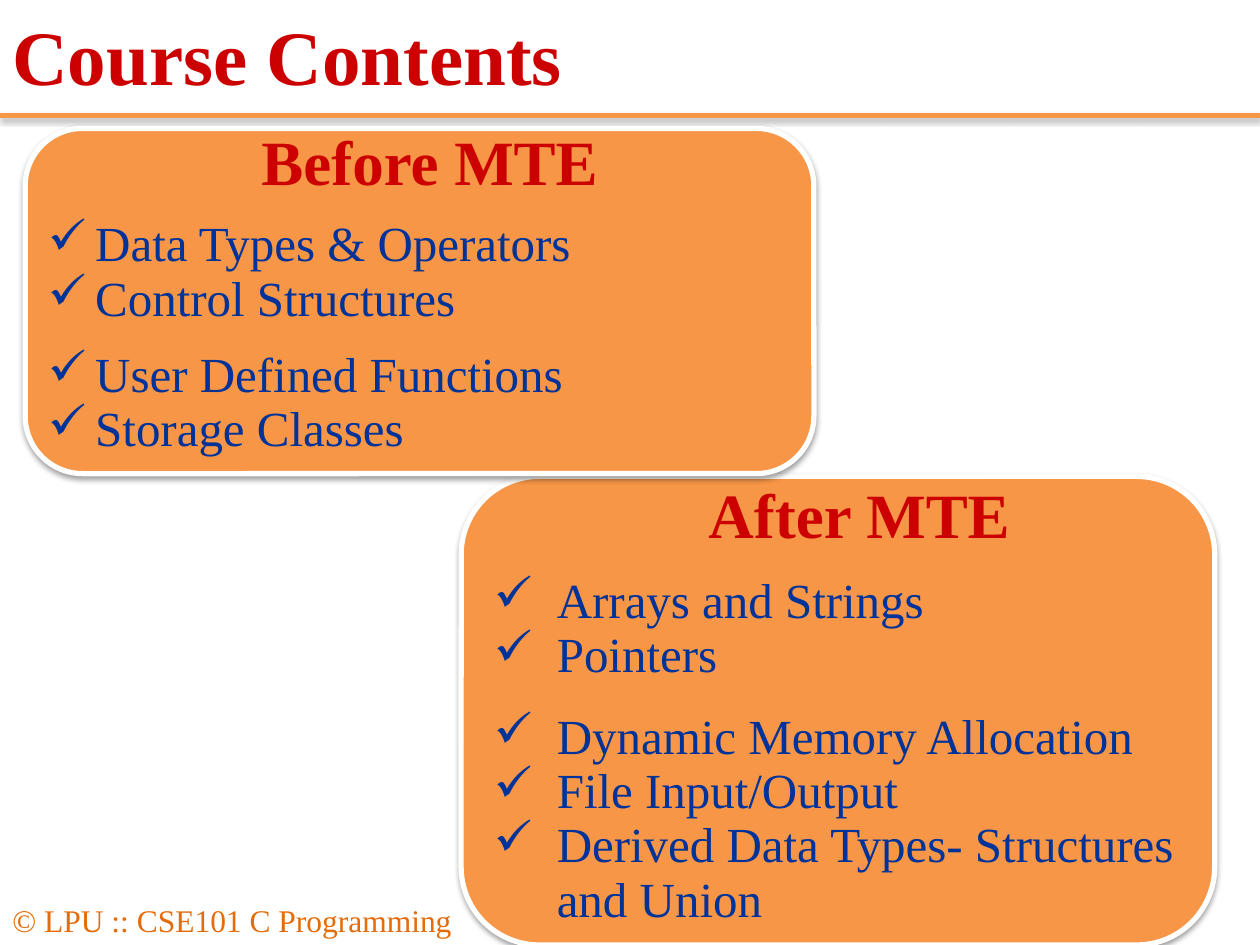
"""Build the course contents slide with its two topic panels."""
from dataclasses import dataclass

import lxml.etree
import pptx
import pptx.dml.color
import pptx.enum.shapes
import pptx.enum.text
import pptx.oxml.ns
import pptx.util

Pt = pptx.util.Pt
ALIGN = pptx.enum.text.PP_ALIGN
ANCHOR = pptx.enum.text.MSO_ANCHOR


@dataclass(frozen=True)
class Theme:
    """Colours, font and type sizes in points."""
    font: str = "Times New Roman"
    heading: str = "CC0000"
    topic: str = "003399"
    panel: str = "F79646"
    edge: str = "FFFFFF"
    footer: str = "E46C0A"
    shadow: str = "000000"
    title_size: int = 44
    heading_size: int = 36
    topic_size: int = 28
    footer_size: int = 18
    line_width: int = 3


def rgb(value):
    """Return a colour object for a hex string."""
    return pptx.dml.color.RGBColor.from_string(value)


def add_child(parent, tag, **attributes):
    """Append a DrawingML element and return it."""
    child = lxml.etree.SubElement(parent, pptx.oxml.ns.qn(tag))
    for name, value in attributes.items():
        child.set(name, str(value))
    return child


def write(paragraph, text, *, font, size, color, bold=False, align=ALIGN.LEFT, hanging=0):
    """Fill a paragraph, with a check mark bullet when it hangs."""
    paragraph.alignment = align
    if hanging:
        properties = paragraph._p.get_or_add_pPr()
        properties.set("marL", str(Pt(hanging)))
        properties.set("indent", str(-Pt(hanging)))
        add_child(properties, "a:buChar", char="✓")
    run = paragraph.add_run()
    run.text = text
    run.font.name = font
    run.font.size = Pt(size)
    run.font.bold = bold
    run.font.color.rgb = rgb(color)


class SlideBuilder:
    """Hold the theme and the current slide."""

    def __init__(self, slide, theme):
        """Keep the slide and its style."""
        self.slide = slide
        self.theme = theme

    def shadow(self, shape, alpha, distance):
        """Give a shape a soft shadow below it."""
        effects = add_child(shape._element.spPr, "a:effectLst")
        outer = add_child(effects, "a:outerShdw", blurRad=Pt(3.1), dist=Pt(distance),
                          dir=90 * 60000, rotWithShape=0)
        color = add_child(outer, "a:srgbClr", val=self.theme.shadow)
        add_child(color, "a:alpha", val=alpha * 1000)

    def text(self, box, text, anchor=ANCHOR.TOP, **style):
        """Add a wrapping text box."""
        shape = self.slide.shapes.add_textbox(*map(Pt, box))
        frame = shape.text_frame
        frame.word_wrap = True
        frame.vertical_anchor = anchor
        write(frame.paragraphs[0], text, font=self.theme.font, **style)

    def rule(self, top, width):
        """Add a full-width horizontal rule."""
        line = self.slide.shapes.add_connector(
            pptx.enum.shapes.MSO_CONNECTOR.STRAIGHT, 0, Pt(top), Pt(width), Pt(top))
        line.line.color.rgb = rgb(self.theme.panel)
        line.line.width = Pt(self.theme.line_width)
        self.shadow(line, alpha=35, distance=1.8)

    def panel(self, box):
        """Add a rounded panel."""
        shape = self.slide.shapes.add_shape(
            pptx.enum.shapes.MSO_SHAPE.ROUNDED_RECTANGLE, *map(Pt, box))
        shape.fill.solid()
        shape.fill.fore_color.rgb = rgb(self.theme.panel)
        shape.line.color.rgb = rgb(self.theme.edge)
        shape.line.width = Pt(self.theme.line_width)
        self.shadow(shape, alpha=38, distance=1.6)

    def topics(self, left, top, width, row_heights, heading, groups, hanging):
        """Add a clear table with a heading row and one row per topic group."""
        theme = self.theme
        frame = self.slide.shapes.add_table(
            len(row_heights), 1, Pt(left), Pt(top), Pt(width), Pt(sum(row_heights)))
        table = frame.table
        table.first_row = table.horz_banding = False
        style_id = table._tbl.tblPr.find(pptx.oxml.ns.qn("a:tableStyleId"))
        style_id.text = "{2D5ABB26-0587-4C30-8999-92F81FD0307C}"
        heading_style = dict(size=theme.heading_size, color=theme.heading,
                             bold=True, align=ALIGN.CENTER)
        topic_style = dict(size=theme.topic_size, color=theme.topic, hanging=hanging)
        rows = [([heading], heading_style)] + [(group, topic_style) for group in groups]
        for index, (lines, style) in enumerate(rows):
            table.rows[index].height = Pt(row_heights[index])
            cell = table.cell(index, 0)
            cell.fill.background()
            for number, line in enumerate(lines):
                text_frame = cell.text_frame
                paragraph = text_frame.add_paragraph() if number else text_frame.paragraphs[0]
                write(paragraph, line, font=theme.font, **style)


def main():
    """Compose and save the slide."""
    presentation = pptx.Presentation()
    presentation.slide_width, presentation.slide_height = Pt(720), Pt(540)
    theme = Theme()
    builder = SlideBuilder(presentation.slides.add_slide(presentation.slide_layouts[6]), theme)
    builder.text((0, 511.2, 275.8, 28.8), "© LPU :: CSE101 C Programming",
                 size=theme.footer_size, color=theme.footer)
    builder.rule(66.2, 720)
    builder.panel((263.5, 272.2, 430.6, 267.8))
    builder.panel((14.4, 73.4, 450.7, 197.3))
    builder.text((0, 0, 573.8, 62), "Course Contents", anchor=ANCHOR.MIDDLE,
                 size=theme.title_size, color=theme.heading, bold=True)
    builder.topics(275, 272.2, 432, (52.6, 77.8, 147.6), "After MTE", [
        ["Arrays and Strings", "Pointers"],
        ["Dynamic Memory Allocation", "File Input/Output",
         "Derived Data Types- Structures and Union"],
    ], hanging=36)
    builder.topics(20.2, 70.6, 450.7, (43.9, 64.8, 64.8), "Before MTE", [
        ["Data Types & Operators", "Control Structures"],
        ["User Defined Functions", "Storage Classes"],
    ], hanging=27)
    presentation.save("out.pptx")


if __name__ == "__main__":
    main()
